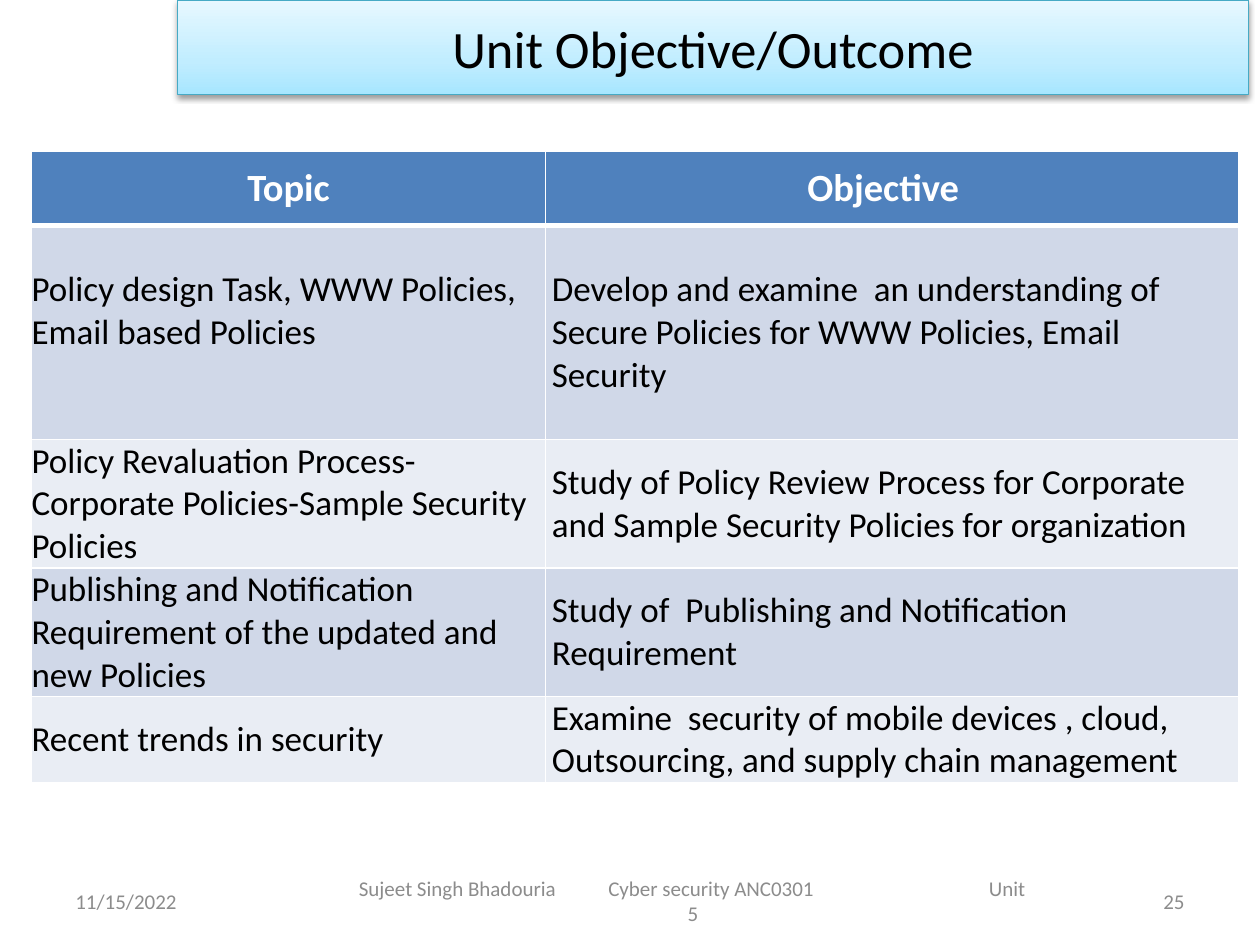
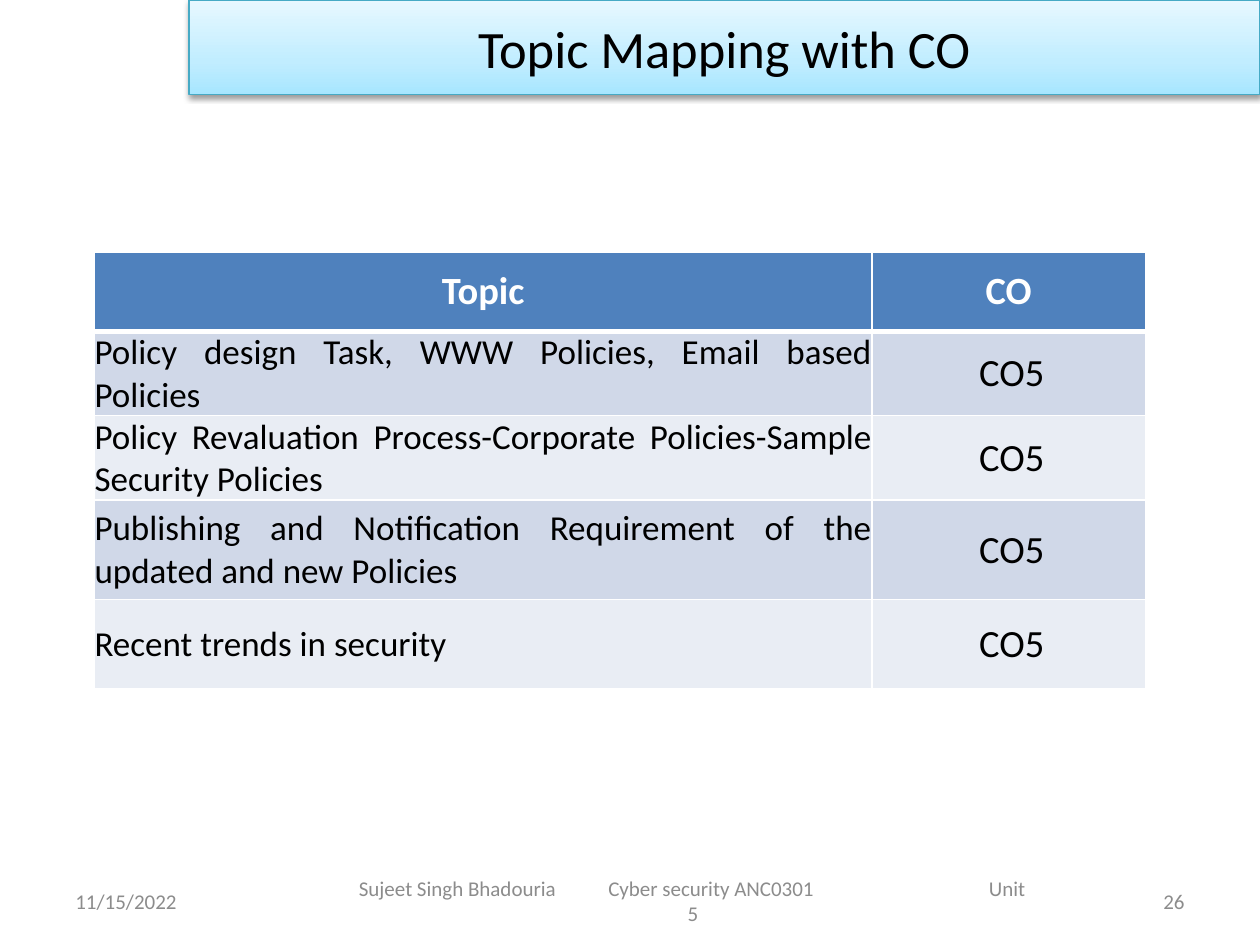
from pptx import Presentation
from pptx.dml.color import RGBColor
from pptx.enum.text import MSO_ANCHOR as Anchor, PP_ALIGN as Align
from pptx.oxml import parse_xml
from pptx.oxml.ns import nsdecls
from pptx.util import Inches, Pt

FONT = "Calibri"
COLORS = {
    "black": "000000",
    "white": "FFFFFF",
    "footer": "8C8C8C",
    "header": "4F81BD",
    "odd_row": "D0D8E8",
    "even_row": "E9EDF4",
    "band_line": "46AAC5",
}
BAND_STOPS = [(0, "A7E6FF"), (35, "C1EDFF"), (100, "E7F8FF")]

TOPICS = [
    "Policy design Task, WWW Policies, Email based Policies",
    "Policy Revaluation Process-Corporate Policies-Sample Security Policies",
    "Publishing and Notification Requirement of the updated and new Policies",
    "Recent trends in security",
]
OBJECTIVES = [
    "Develop and examine  an understanding of Secure Policies for WWW Policies, Email Security",
    "Study of Policy Review Process for Corporate and Sample Security Policies for organization",
    "Study of  Publishing and Notification Requirement",
    "Examine  security of mobile devices , cloud, Outsourcing, and supply chain management",
]
DATE = "11/15/2022"
FOOTER_LINES = ["Sujeet Singh Bhadouria\tCyber security ANC0301\tUnit", "5"]
FOOTER_TABS = [1.98, 5.0]


def rgb(name):
    return RGBColor.from_string(COLORS[name])


def write(para, text, size=20, color="black", bold=False, align=Align.LEFT):
    """Put one formatted run into a paragraph."""
    para.alignment = align
    span = para.add_run()
    span.text = text
    span.font.name = FONT
    span.font.size = Pt(size)
    span.font.bold = bold
    span.font.color.rgb = rgb(color)


# Title band
def add_title_band(page, text, left):
    title = page.shapes.title
    title.left, title.top = Inches(left), Inches(0)
    title.width, title.height = Inches(8.5), Inches(0.75)
    stops = "".join(
        f'<a:gs pos="{place * 1000}"><a:srgbClr val="{color}"/></a:gs>'
        for place, color in BAND_STOPS)
    properties = title._element.spPr
    properties.append(parse_xml(
        f'<a:gradFill {nsdecls("a")} rotWithShape="1"><a:gsLst>{stops}</a:gsLst>'
        '<a:lin ang="16200000" scaled="0"/></a:gradFill>'))
    title.line.color.rgb = rgb("band_line")
    title.line.width = Pt(0.75)
    properties.append(parse_xml(
        f'<a:effectLst {nsdecls("a")}><a:outerShdw blurRad="40000" dist="20000" '
        'dir="5400000" rotWithShape="0"><a:srgbClr val="000000">'
        '<a:alpha val="38000"/></a:srgbClr></a:outerShdw></a:effectLst>'))
    title.text_frame.vertical_anchor = Anchor.MIDDLE
    write(title.text_frame.paragraphs[0], text, size=30, align=Align.CENTER)


# Footer
def add_footer_box(page, left, width):
    box = page.shapes.add_textbox(Inches(left), Inches(6.95), Inches(width), Inches(0.4))
    box.text_frame.word_wrap = True
    box.text_frame.vertical_anchor = Anchor.MIDDLE
    return box.text_frame


def add_footer(page, number):
    style = {"size": 12, "color": "footer"}
    write(add_footer_box(page, 0.5, 2.33).paragraphs[0], DATE, **style)
    write(add_footer_box(page, 7.17, 2.33).paragraphs[0], str(number),
          align=Align.RIGHT, **style)
    frame = add_footer_box(page, 2.75, 5.5)
    first = frame.paragraphs[0]
    tabs = "".join(f'<a:tab pos="{Inches(stop)}" algn="l"/>' for stop in FOOTER_TABS)
    first._p.get_or_add_pPr().append(
        parse_xml(f'<a:tabLst {nsdecls("a")}>{tabs}</a:tabLst>'))
    write(first, FOOTER_LINES[0], **style)
    write(frame.add_paragraph(), FOOTER_LINES[1], align=Align.CENTER, **style)


# Table
def set_borders(cell, top, bottom):
    properties = cell._tc.get_or_add_tcPr()
    for side, width in (("L", 1), ("R", 1), ("T", top), ("B", bottom)):
        properties.append(parse_xml(
            f'<a:ln{side} {nsdecls("a")} w="{Pt(width)}"><a:solidFill>'
            f'<a:srgbClr val="{COLORS["white"]}"/></a:solidFill></a:ln{side}>'))


def fill_cell(cell, text, row, left_inset=0, **style):
    """Fill one cell; row 0 is the header."""
    set_borders(cell, top=3 if row == 1 else 1, bottom=3 if row == 0 else 1)
    cell.fill.solid()
    cell.fill.fore_color.rgb = rgb(
        "header" if row == 0 else "odd_row" if row % 2 else "even_row")
    cell.margin_left = Inches(left_inset)
    cell.margin_right = cell.margin_top = cell.margin_bottom = 0
    cell.vertical_anchor = Anchor.MIDDLE
    write(cell.text_frame.paragraphs[0], text, **style)


def add_topic_table(page, left, top, widths, heights, headings, values,
                    topic_style, value_style):
    table = page.shapes.add_table(
        len(heights), len(widths), Inches(left), Inches(top),
        Inches(sum(widths)), Inches(sum(heights))).table
    for column, width in zip(table.columns, widths):
        column.width = Inches(width)
    for row, height in zip(table.rows, heights):
        row.height = Inches(height)
    for column, heading in enumerate(headings):
        fill_cell(table.cell(0, column), heading, 0, size=22, color="white",
                  bold=True, align=Align.CENTER)
    for row, (topic, value) in enumerate(zip(TOPICS, values), start=1):
        fill_cell(table.cell(row, 0), topic, row, **topic_style)
        fill_cell(table.cell(row, 1), value, row, left_inset=0.05, **value_style)
    return table


def add_page(deck, title, band_left, number):
    page = deck.slides.add_slide(deck.slide_layouts[5])
    add_title_band(page, title, band_left)
    add_footer(page, number)
    return page


def main():
    deck = Presentation()
    deck.slide_width, deck.slide_height = Inches(10), Inches(7.5)

    # Objectives
    page = add_page(deck, "Unit Objective/Outcome", 1.41, 25)
    table = add_topic_table(
        page, 0.25, 1.2, [4.08, 5.5], [0.59, 1.7, 1.02, 1.02, 0.68],
        ["Topic", "Objective"], OBJECTIVES, {}, {})
    table.cell(0, 1).margin_right = Inches(0.14)
    table.cell(1, 0).margin_bottom = Inches(0.34)

    # Course outcomes
    page = add_page(deck, "Topic Mapping with CO", 1.5, 26)
    add_topic_table(
        page, 0.75, 2, [6.17, 2.17], [0.63, 0.67, 0.67, 0.79, 0.71],
        ["Topic", "CO"], ["CO5"] * len(TOPICS),
        {"align": Align.JUSTIFY}, {"size": 22, "align": Align.CENTER})

    deck.save("out.pptx")


if __name__ == "__main__":
    main()
